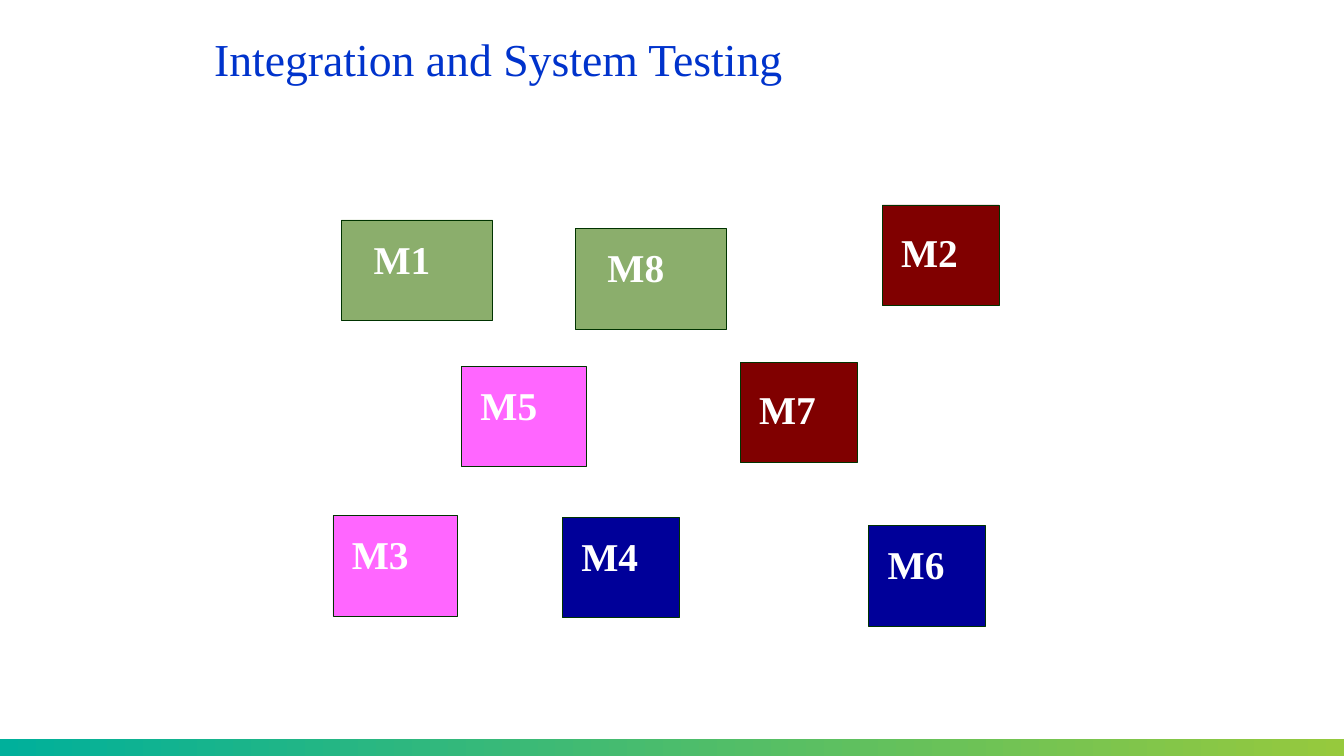
from dataclasses import dataclass

from pptx import Presentation
from pptx.dml.color import RGBColor
from pptx.enum.shapes import MSO_SHAPE
from pptx.enum.text import MSO_ANCHOR, MSO_AUTO_SIZE, PP_ALIGN
from pptx.util import Inches, Pt

TITLE = "Integration and System Testing"

# All places and lengths are percentages of the slide's width or height.
TITLE_BOX = (15.8, 2.4, 66.2, 11.5)
FOOTER_BOX = (0, 97.75, 100, 2.2)
MODULE_HEIGHT = 13.3

# colour family: fill, width, label's left inset, label's top inset
FAMILIES = {
    "green": ("8BAE6C", 11.25, 2.4, 2.9),
    "red": ("800000", 8.7, 1.4, 4.05),
    "pink": ("FF66FF", 9.3, 1.4, 2.9),
    "blue": ("000099", 8.7, 1.4, 2.9),
}
# label, family, left, top
MODULES = [
    ("M1", "green", 25.4, 29.1),
    ("M6", "blue", 64.65, 69.55),
    ("M3", "pink", 24.78, 68.2),
    ("M2", "red", 65.65, 27.12),
    ("M8", "green", 42.8, 30.23),
    ("M4", "blue", 41.85, 68.42),
    ("M5", "pink", 34.35, 48.47),
    ("M7", "red", 55.08, 47.9),
]


@dataclass(frozen=True)
class Theme:
    font: str = "Times New Roman"
    title_color: str = "0033CC"
    title_size: int = 36
    label_color: str = "FFFFFF"
    label_size: int = 31
    outline: str = "003300"
    outline_width: float = 0.75
    footer: tuple = ("00B09B", "96C93D")


THEME = Theme()
SLIDE_WIDTH, SLIDE_HEIGHT = Inches(14.7), Inches(8.27)


def across(percent):
    return int(SLIDE_WIDTH * percent / 100)


def down(percent):
    return int(SLIDE_HEIGHT * percent / 100)


def to_emu(box):
    left, top, width, height = box
    return across(left), down(top), across(width), down(height)


def write(frame, text, size, color, line_spacing, bold=False):
    """Write one left-aligned line into a text frame."""
    frame.auto_size = MSO_AUTO_SIZE.NONE
    frame.word_wrap = True
    paragraph = frame.paragraphs[0]
    paragraph.alignment = PP_ALIGN.LEFT
    paragraph.line_spacing = line_spacing
    paragraph.space_before = Pt(0)
    run = paragraph.add_run()
    run.text = text
    run.font.name = THEME.font
    run.font.size = Pt(size)
    run.font.bold = bold
    run.font.color.rgb = RGBColor.from_string(color)


def add_rectangle(slide, box):
    shape = slide.shapes.add_shape(MSO_SHAPE.RECTANGLE, *to_emu(box))
    shape.shadow.inherit = False
    return shape


def add_footer(slide):
    footer = add_rectangle(slide, FOOTER_BOX)
    footer.line.fill.background()
    footer.fill.gradient()
    footer.fill.gradient_angle = 0
    for stop, color in zip(footer.fill.gradient_stops, THEME.footer):
        stop.color.rgb = RGBColor.from_string(color)


def add_title(slide):
    title = slide.shapes.title
    title.left, title.top, title.width, title.height = to_emu(TITLE_BOX)
    frame = title.text_frame
    frame.vertical_anchor = MSO_ANCHOR.MIDDLE
    frame.margin_left = frame.margin_right = Inches(0.02)
    frame.margin_top = frame.margin_bottom = Inches(0.06)
    write(frame, TITLE, THEME.title_size, THEME.title_color, 0.9)


def add_module(slide, label, family, left, top):
    fill, width, inset_left, inset_top = FAMILIES[family]
    module = add_rectangle(slide, (left, top, width, MODULE_HEIGHT))
    module.fill.solid()
    module.fill.fore_color.rgb = RGBColor.from_string(fill)
    module.line.color.rgb = RGBColor.from_string(THEME.outline)
    module.line.width = Pt(THEME.outline_width)
    frame = module.text_frame
    frame.vertical_anchor = MSO_ANCHOR.TOP
    frame.margin_left, frame.margin_top = across(inset_left), down(inset_top)
    frame.margin_right = frame.margin_bottom = 0
    write(frame, label, THEME.label_size, THEME.label_color, 0.85, bold=True)


def main():
    presentation = Presentation()
    presentation.slide_width = SLIDE_WIDTH
    presentation.slide_height = SLIDE_HEIGHT
    title_only = presentation.slide_layouts.get_by_name("Title Only")
    slide = presentation.slides.add_slide(title_only)
    add_footer(slide)
    add_title(slide)
    for module in MODULES:
        add_module(slide, *module)
    presentation.save("out.pptx")


if __name__ == "__main__":
    main()
